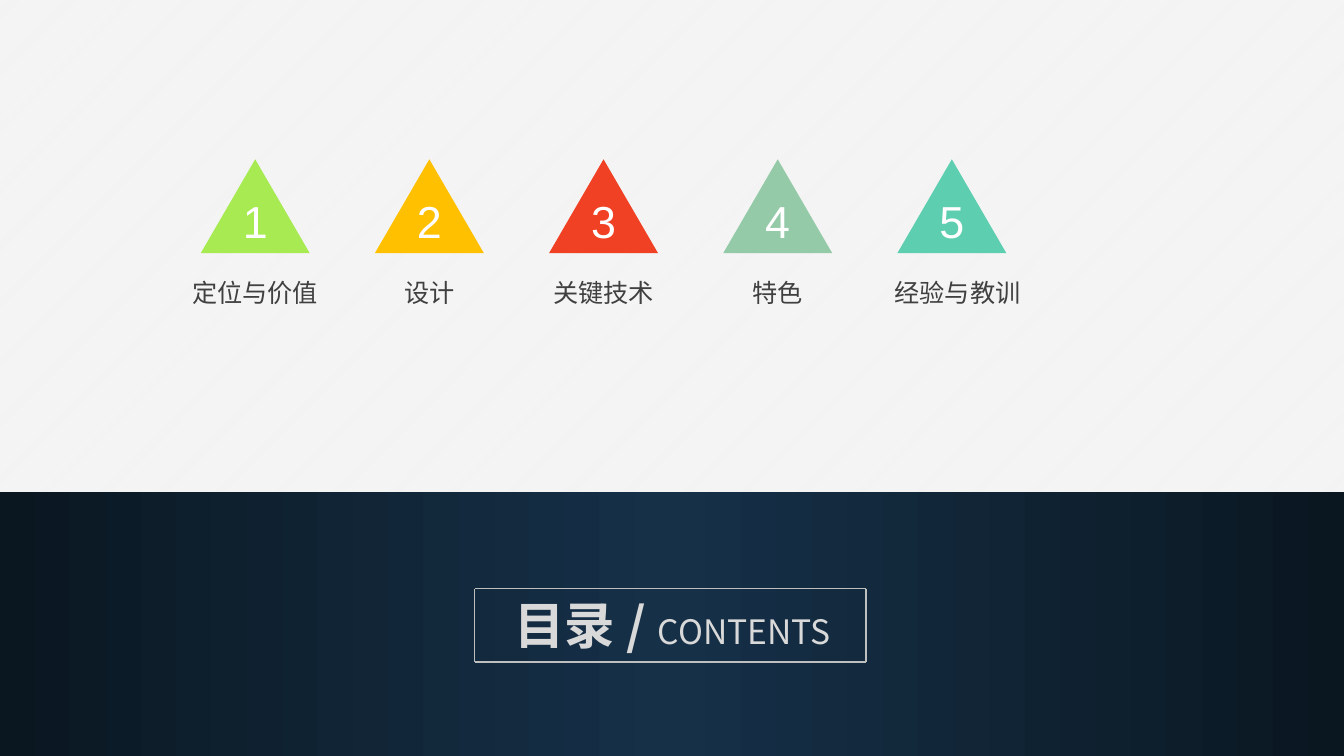
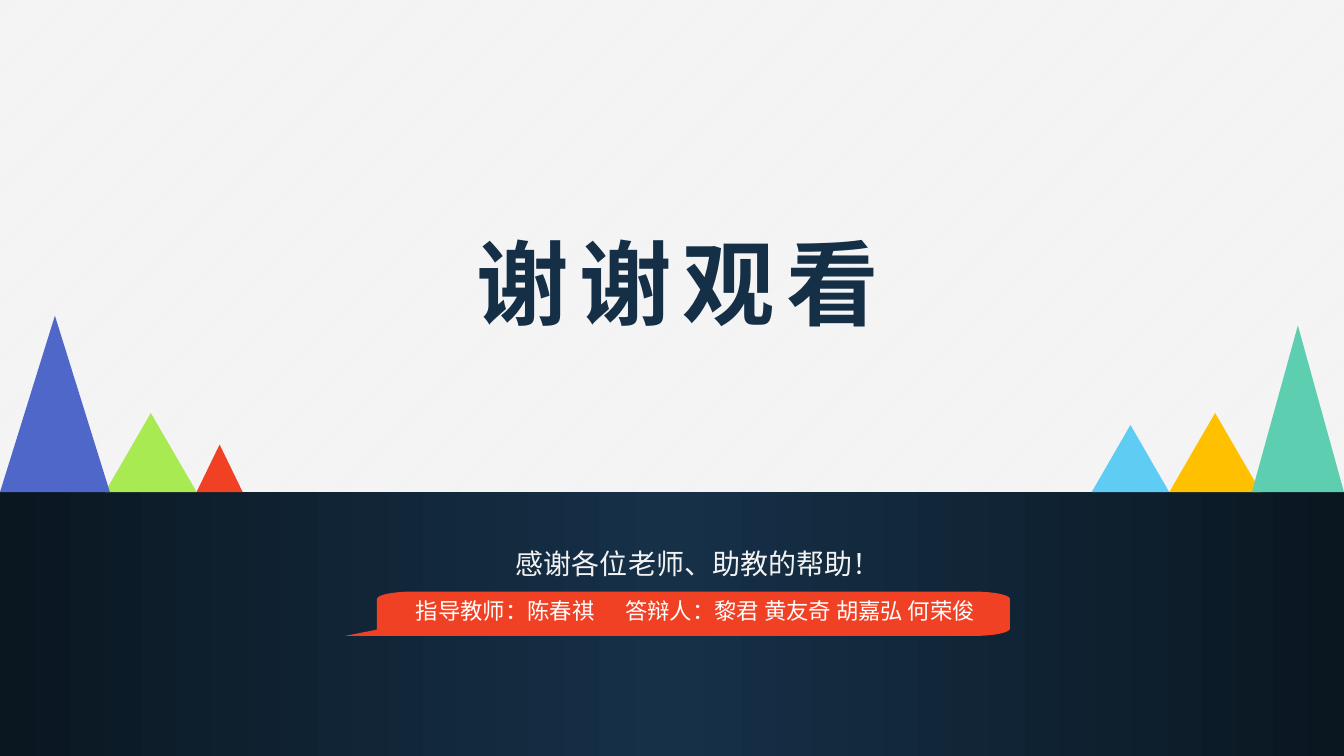
import math
from lxml import etree
from pptx import Presentation
from pptx import util as u
from pptx.dml.color import RGBColor
from pptx.enum import dml, shapes, text
from pptx.oxml.ns import qn

Pt = u.Pt
WIDTH, HEIGHT = 960, 540
BAND_TOP, BAND_SPLIT = 351.5, 478.5
SANS, LATIN = "Noto Sans CJK SC", "Arial"
WHITE, PALE, GREY, SILVER = "FFFFFF", "F2F2F2", "404040", "BFBFBF"
NAVY, MIDNIGHT = "163048", "0A1721"
LIME, AMBER, RED, TEAL = "A7EA52", "FFC000", "F14124", "5DCEAF"
CENTER, LEFT = text.PP_ALIGN.CENTER, text.PP_ALIGN.LEFT

# Content: label, triangle colour, sideways shift of the label
CONTENTS = [
    ("定位与价值", LIME, 0),
    ("设计", AMBER, 0),
    ("关键技术", RED, 0),
    ("特色", "94CAA8", 0),
    ("经验与教训", TEAL, 4),
]
CONTENTS_TITLE = [
    ("目录 / ", dict(size=Pt(36), bold=True)),
    ("CONTENTS", dict(size=Pt(24), bold=False)),
]
CLOSING_TITLE = [("谢谢观看", dict(size=Pt(66), bold=True))]
THANKS = "感谢各位老师、助教的帮助！"
PEOPLE = "指导教师：陈春祺\t答辩人：黎君 黄友奇 胡嘉弘 何荣俊"

# Peaks standing on the band: left, width, height, colour
PEAKS = [
    (75, 65.5, 56.5, LIME),
    (779.8, 55.4, 48, "5ECCF3"),
    (0, 78.5, 126, "4E67C8"),
    (140.4, 33, 34, RED),
    (835.2, 65.5, 56.5, AMBER),
    (894.2, 65.8, 119, TEAL),
]


def color(value):
    return RGBColor.from_string(value)


def box(*lengths):
    return [Pt(length) for length in lengths]


def paint(shape, fill):
    shape.shadow.inherit = False
    shape.fill.solid()
    shape.fill.fore_color.rgb = color(fill)
    shape.line.fill.background()


def add_triangle(parent, place, fill):
    triangle = parent.shapes.add_shape(
        shapes.MSO_SHAPE.ISOSCELES_TRIANGLE, *box(*place))
    paint(triangle, fill)


def write(shape, runs, ink, font=SANS, align=CENTER):
    """Put formatted runs in a shape and return their paragraph."""
    frame = shape.text_frame
    settings = dict(word_wrap=True, auto_size=text.MSO_AUTO_SIZE.NONE,
                    vertical_anchor=text.MSO_ANCHOR.MIDDLE)
    for name, value in settings.items():
        setattr(frame, name, value)
    paragraph = frame.paragraphs[0]
    paragraph.alignment = align
    for words, style in runs:
        run = paragraph.add_run()
        run.text = words
        for name, value in dict(style, name=font).items():
            setattr(run.font, name, value)
        run.font.color.rgb = color(ink)
        east_asian = etree.SubElement(run.font._element, qn("a:ea"))
        east_asian.set("typeface", font)
    return paragraph


def add_text(parent, place, words, size, ink, **options):
    textbox = parent.shapes.add_textbox(*box(*place))
    return write(textbox, [(words, dict(size=Pt(size)))], ink, **options)


def set_title(slide, place, runs, ink):
    title = slide.shapes.title
    for name, value in zip(("left", "top", "width", "height"), box(*place)):
        setattr(title, name, value)
    return write(title, runs, ink)


def add_line(slide, start, end):
    line = slide.shapes.add_connector(
        shapes.MSO_CONNECTOR.STRAIGHT, *box(*start, *end))
    line.line.color.rgb = color(SILVER)
    line.line.width = Pt(1)
    etree.SubElement(line.element.spPr, qn("a:effectLst"))


def style_master(master, slide):
    """Give the master its pattern and the two gradient halves of the band."""
    fill = master.background.fill
    fill.patterned()
    fill.pattern = dml.MSO_PATTERN.LIGHT_UPWARD_DIAGONAL
    fill.fore_color.rgb = color(WHITE)
    fill.back_color.rgb = color(PALE)
    halves = [(0, BAND_SPLIT, (MIDNIGHT, NAVY)),
              (BAND_SPLIT, WIDTH - BAND_SPLIT, (NAVY, MIDNIGHT))]
    for index, (left, width, ends) in enumerate(halves):
        band = slide.shapes.add_shape(
            shapes.MSO_SHAPE.RECTANGLE,
            *box(left, BAND_TOP, width, HEIGHT - BAND_TOP))
        paint(band, NAVY)
        band.fill.gradient()
        band.fill.gradient_angle = 0
        for position, (stop, end) in enumerate(zip(band.fill.gradient_stops, ends)):
            stop.position = position
            stop.color.rgb = color(end)
        # A band is drawn on a slide, then moved behind the master's parts
        band.element.nvSpPr.cNvPr.set("id", str(100 + index))
        master.element.cSld.spTree.insert(2 + index, band.element)


def corner(center_x, center_y, radius_x, radius_y, start):
    """Points of a clockwise quarter ellipse from a start angle in degrees."""
    angles = [math.radians(start + 90 * step / 12) for step in range(13)]
    return [(center_x + radius_x * math.cos(angle),
             center_y + radius_y * math.sin(angle)) for angle in angles]


def add_banner(slide):
    left, top, right, bottom = 269.3, 422.6, 721.4, 454.3
    radius_x, radius_y = 25.8, 5.3
    points = [
        *corner(left + radius_x, top + radius_y, radius_x, radius_y, 180),
        *corner(right - radius_x, top + radius_y, radius_x, radius_y, 270),
        *corner(right - radius_x, bottom - radius_y, radius_x, radius_y, 0),
        (246.4, bottom), (left, 449.8),
    ]
    outline = [box(*point) for point in points]
    builder = slide.shapes.build_freeform(*outline[0])
    builder.add_line_segments(outline[1:], close=True)
    paint(builder.convert_to_shape(), RED)


def build_contents(slide):
    set_title(slide, (350, 420.5, 260.6, 51), CONTENTS_TITLE, "D9D9D9")

    # Frame around the title
    left, top, right, bottom = 339, 420.5, 618.5, 473
    corners = [(left, top), (right, top), (right, bottom), (left, bottom)]
    for start, end in zip(corners, corners[1:] + corners[:1]):
        add_line(slide, start, end)

    # Numbered triangles with labels
    first, pitch, width, height, top = 143.4, 124.4, 77.8, 67, 113.8
    for index, (label, fill, shift) in enumerate(CONTENTS):
        left = first + index * pitch
        middle = left + width / 2
        group = slide.shapes.add_group_shape()
        add_triangle(group, (left, top, width, height), fill)
        add_text(group, (middle - 16, 134.8, 32, 46), str(index + 1), 32,
                 WHITE, font=LATIN)
        add_text(slide, (middle + shift - 60, 194.4, 120, 29), label, 18, GREY)


def build_closing(slide):
    title = set_title(slide, (309, 157.7, 350, 87), CLOSING_TITLE, "152F47")
    title.runs[0].font._element.set("spc", "800")

    thanks = add_text(slide, (361.4, 374.4, 278, 44), THANKS, 20, PALE, align=LEFT)
    thanks.line_spacing = 1.5

    for left, width, height, fill in PEAKS:
        add_triangle(slide, (left, BAND_TOP - height, width, height), fill)

    # Banner with names, the second part set at a tab stop
    add_banner(slide)
    people = add_text(slide, (290, 422.6, 425, 26.6), PEOPLE, 16, WHITE, align=LEFT)
    tabs = etree.SubElement(people._p.get_or_add_pPr(), qn("a:tabLst"))
    etree.SubElement(tabs, qn("a:tab"), pos=str(Pt(149.5)), algn="l")


def main():
    presentation = Presentation()
    presentation.slide_width, presentation.slide_height = box(WIDTH, HEIGHT)
    title_only = presentation.slide_layouts[5]
    contents, closing = [presentation.slides.add_slide(title_only) for _ in range(2)]
    style_master(presentation.slide_master, contents)
    build_contents(contents)
    build_closing(closing)
    presentation.save("out.pptx")


if __name__ == "__main__":
    main()
